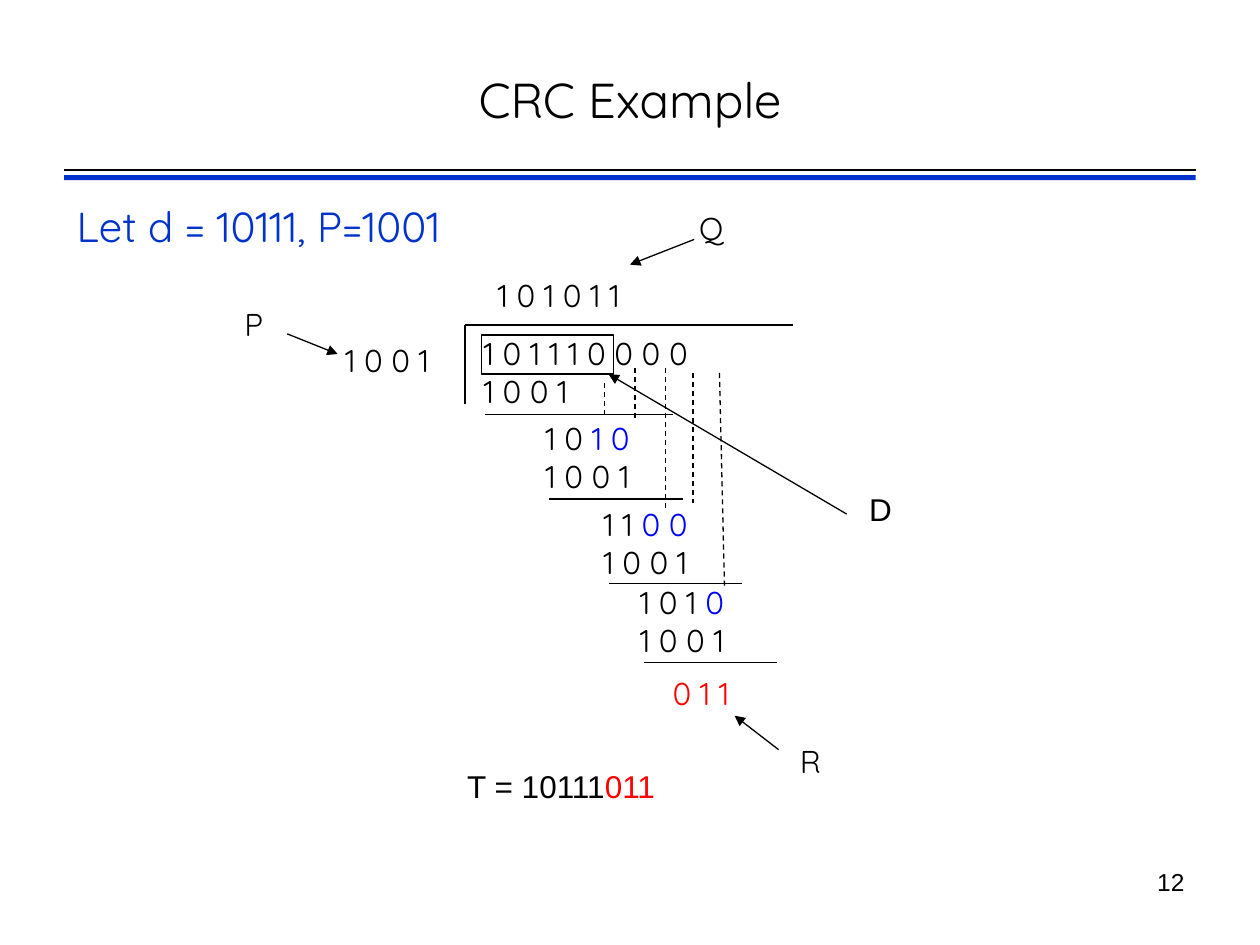
from dataclasses import dataclass

from lxml import etree
from pptx import Presentation
from pptx import util as u
from pptx.dml.color import RGBColor
from pptx.enum import dml, shapes, text
from pptx.oxml.ns import qn

BLACK = RGBColor(0x00, 0x00, 0x00)
ROYAL = RGBColor(0x00, 0x33, 0xCC)
BLUE = RGBColor(0x00, 0x00, 0xFF)
RED = RGBColor(0xFF, 0x00, 0x00)
CELL = 0.1
RULE_WIDTH = u.Pt(0.74)
DIVISOR = "1 0 0 1"

Span = tuple[str, RGBColor]


@dataclass(frozen=True)
class Label:
    column: float
    row: float
    width: float
    words: str
    font: str = "Quicksand"
    color: RGBColor = BLACK


@dataclass(frozen=True)
class Step:
    column: float
    row: float
    kept: str
    brought_down: str
    rule_column: float
    rule_row: float


@dataclass(frozen=True)
class Rule:
    start: tuple[float, float]
    end: tuple[float, float]
    arrow: bool = False
    dashed: bool = False


LABELS = [
    Label(26.4, 26.6, 9.6, DIVISOR),
    Label(38.5, 21.4, 13.8, "1 0 1 0 1 1"),
    Label(52.4, 53, 7.6, "0 1 1", color=RED),
    Label(68, 38.4, 3.8, "D", font="Arial"),
    Label(62.5, 58.4, 3.5, "R"),
    Label(54.5, 16.1, 3.9, "Q"),
    Label(18.4, 23.7, 3.5, "P"),
]
STEPS = [
    Step(42.3, 32.8, "1 0 ", "1 0", 43.6, 39.6),
    Step(46.9, 39.6, "1 1 ", "0 0", 48.3, 46.3),
    Step(49.8, 45.8, "1 0 1 ", "0", 51.1, 52.6),
]
STEP_RULE = 10.6
RULES = [
    Rule((5.1, 13.5), (94.9, 13.5)),
    Rule((36.9, 25.8), (62.9, 25.8)),
    Rule((36.9, 25.8), (36.9, 32.1)),
    Rule((38.5, 32.9), (53.4, 32.9)),
    Rule((67.2, 40.8), (48.3, 29.7), arrow=True),
    Rule((55.1, 19), (50, 21), arrow=True),
    Rule((61.8, 59.5), (58.3, 56.8), arrow=True),
    Rule((22.8, 26.5), (26.8, 28.1), arrow=True),
    Rule((48, 30.4), (48, 33.2), dashed=True),
    Rule((50.4, 29.2), (50.4, 33.2), dashed=True),
    Rule((52.8, 29.2), (52.8, 40.3), dashed=True),
    Rule((55, 29.6), (55, 39.9), dashed=True),
    Rule((57.1, 29.6), (57.5, 46.6), dashed=True),
]


def cells(count: float) -> int:
    return u.Inches(round(count * CELL, 2))


def add_text(page, column: float, row: float, width: float, height: float,
             paragraphs: list[list[Span]], *, font: str = "Quicksand",
             size: float = 18, align=text.PP_ALIGN.LEFT,
             anchor=text.MSO_ANCHOR.TOP, wrap: bool = False,
             space_before: float = 0) -> None:
    box = page.shapes.add_textbox(*map(cells, (column, row, width, height)))
    frame = box.text_frame
    frame.word_wrap = wrap
    frame.vertical_anchor = anchor
    frame.auto_size = (text.MSO_AUTO_SIZE.NONE if wrap
                       else text.MSO_AUTO_SIZE.SHAPE_TO_FIT_TEXT)
    for index, spans in enumerate(paragraphs):
        para = frame.add_paragraph() if index else frame.paragraphs[0]
        para.alignment = align
        para.space_before = u.Pt(space_before)
        for words, color in spans:
            span = para.add_run()
            span.text = words
            span.font.name = font
            span.font.size = u.Pt(size)
            span.font.color.rgb = color


def add_rule(page, rule: Rule) -> None:
    line = page.shapes.add_connector(
        shapes.MSO_CONNECTOR.STRAIGHT, *map(cells, rule.start + rule.end))
    line.line.color.rgb = BLACK
    line.line.width = RULE_WIDTH
    if rule.dashed:
        line.line.dash_style = dml.MSO_LINE.DASH
    properties = line._element.spPr
    if rule.arrow:
        etree.SubElement(properties.find(qn("a:ln")), qn("a:tailEnd"),
                         type="triangle")
    etree.SubElement(properties, qn("a:effectLst"))


def add_box(page, column: float, row: float, width: float, height: float):
    box = page.shapes.add_shape(
        shapes.MSO_SHAPE.RECTANGLE, *map(cells, (column, row, width, height)))
    box.shadow.inherit = False
    return box


def add_step(page, step: Step) -> None:
    add_text(page, step.column, step.row, 9.6, 7,
             [[(step.kept, BLACK), (step.brought_down, BLUE)],
              [(DIVISOR, BLACK)]])
    add_rule(page, Rule((step.rule_column, step.rule_row),
                        (step.rule_column + STEP_RULE, step.rule_row)))


def build() -> None:
    deck = Presentation()
    deck.slide_width, deck.slide_height = cells(100), cells(75)
    page = deck.slides.add_slide(deck.slide_layouts[6])

    band = add_box(page, 5.1, 13.9, 89.8, 0.4)
    band.fill.solid()
    band.fill.fore_color.rgb = ROYAL
    band.line.fill.background()

    add_text(page, 5, 3, 90, 9.7, [[("CRC Example", BLACK)]], size=28,
             align=text.PP_ALIGN.CENTER, anchor=text.MSO_ANCHOR.MIDDLE,
             wrap=True)
    add_text(page, 5.1, 15.4, 89.9, 52.4, [[("Let d = 10111, P=1001", ROYAL)]],
             size=24, wrap=True, space_before=6)
    add_text(page, 71.7, 68.3, 23.3, 5.2, [[("12", BLACK)]], font="Arial",
             size=14, align=text.PP_ALIGN.RIGHT, wrap=True)
    add_text(page, 37.4, 26, 29.4, 7,
             [[("1 0 1 1 1 0 0 0 0", BLACK)], [(DIVISOR, BLACK)]], wrap=True)
    add_text(page, 36.1, 60.4, 17.5, 4,
             [[("T = 10111", BLACK), ("011", RED)]], font="Arial")

    dividend = add_box(page, 38.2, 26.6, 10.5, 3.1)
    dividend.fill.background()
    dividend.line.color.rgb = BLACK
    dividend.line.width = RULE_WIDTH

    for label in LABELS:
        add_text(page, label.column, label.row, label.width, 4,
                 [[(label.words, label.color)]], font=label.font)
    for step in STEPS:
        add_step(page, step)
    for rule in RULES:
        add_rule(page, rule)

    deck.save("out.pptx")


build()
